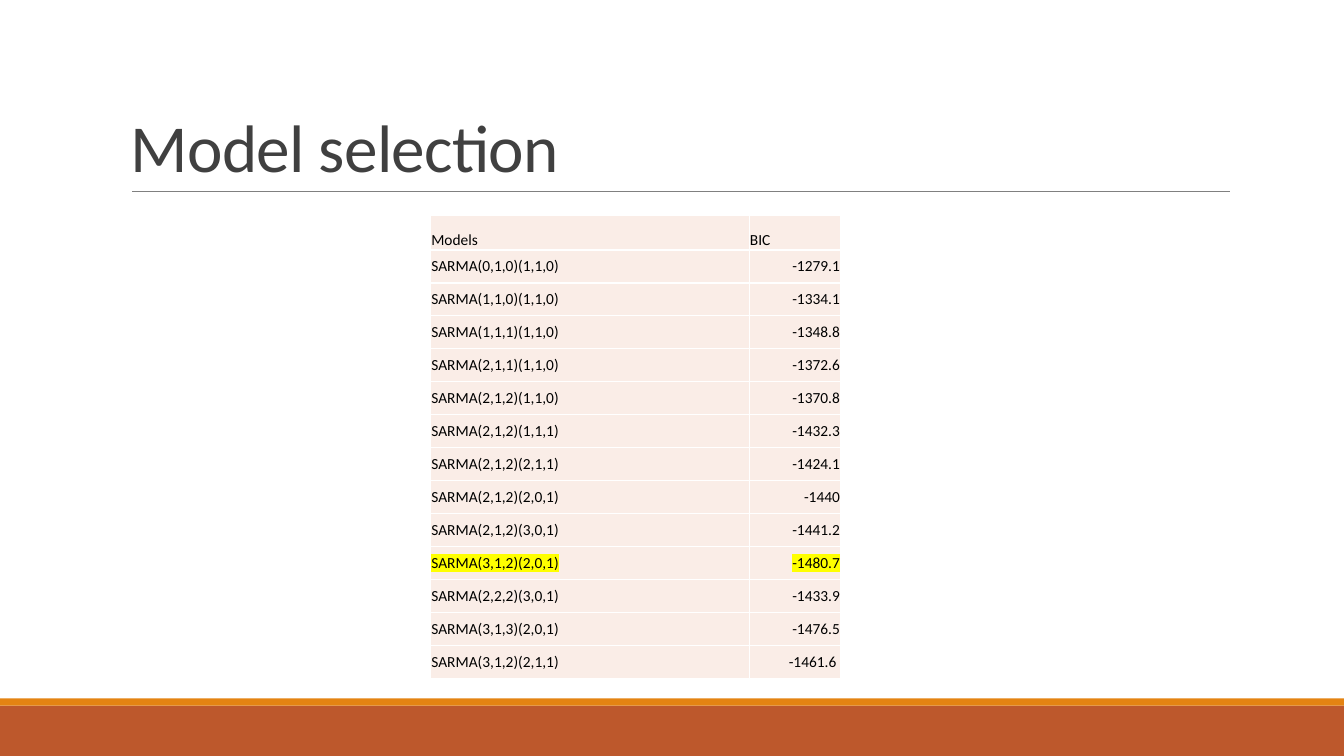
"""Build the model selection slide with its table of BIC values."""
from lxml import etree
from pptx import Presentation
from pptx.dml.color import RGBColor
from pptx.enum.shapes import MSO_CONNECTOR, MSO_SHAPE
from pptx.enum.text import MSO_ANCHOR, PP_ALIGN
from pptx.oxml import parse_xml
from pptx.oxml.ns import nsdecls, qn
from pptx.util import Cm, Pt

LEFT, RIGHT = PP_ALIGN.LEFT, PP_ALIGN.RIGHT
BOTTOM, MIDDLE = MSO_ANCHOR.BOTTOM, MSO_ANCHOR.MIDDLE
RECTANGLE, STRAIGHT = MSO_SHAPE.RECTANGLE, MSO_CONNECTOR.STRAIGHT


def rgb(value):
    return RGBColor.from_string(value)


def write(frame, text, size=11, color="000000", align=LEFT, anchor=MIDDLE,
          spacing=None, tracking=None, highlight=None):
    frame.word_wrap = True
    frame.vertical_anchor = anchor
    paragraph = frame.paragraphs[0]
    paragraph.alignment = align
    paragraph.line_spacing = spacing
    run = paragraph.add_run()
    run.text = text
    run.font.name = "Calibri"
    run.font.size = Pt(size)
    run.font.bold = False
    run.font.color.rgb = rgb(color)
    properties = run.font._element
    if tracking:
        properties.set("spc", str(tracking))
    if highlight:
        properties.find(qn("a:solidFill")).addnext(parse_xml(
            f'<a:highlight {nsdecls("a")}><a:srgbClr val="{highlight}"/></a:highlight>'))


models = [
    ("SARMA(0,1,0)(1,1,0)", "-1279.1"),
    ("SARMA(1,1,0)(1,1,0)", "-1334.1"),
    ("SARMA(1,1,1)(1,1,0)", "-1348.8"),
    ("SARMA(2,1,1)(1,1,0)", "-1372.6"),
    ("SARMA(2,1,2)(1,1,0)", "-1370.8"),
    ("SARMA(2,1,2)(1,1,1)", "-1432.3"),
    ("SARMA(2,1,2)(2,1,1)", "-1424.1"),
    ("SARMA(2,1,2)(2,0,1)", "-1440"),
    ("SARMA(2,1,2)(3,0,1)", "-1441.2"),
    ("SARMA(3,1,2)(2,0,1)", "-1480.7"),
    ("SARMA(2,2,2)(3,0,1)", "-1433.9"),
    ("SARMA(3,1,3)(2,0,1)", "-1476.5"),
    ("SARMA(3,1,2)(2,1,1)", "-1461.6 "),
]
best_model = "SARMA(3,1,2)(2,0,1)"

deck = Presentation()
deck.slide_width, deck.slide_height = Cm(33.87), Cm(19.05)
slide = deck.slides.add_slide(deck.slide_layouts[6])
shapes = slide.shapes

for top, height, color in [(17.78, 1.27, "BD582C"), (17.6, 0.18, "E48312")]:
    band = shapes.add_shape(RECTANGLE, 0, Cm(top), deck.slide_width, Cm(height))
    band.shadow.inherit = False
    band.fill.solid()
    band.fill.fore_color.rgb = rgb(color)
    band.line.fill.background()

rule = shapes.add_connector(STRAIGHT, Cm(3.33), Cm(4.82), Cm(31), Cm(4.82))
rule.line.color.rgb = rgb("808080")
rule.line.width = Pt(0.5)
etree.SubElement(rule._element.spPr, qn("a:effectLst"))

title = shapes.add_textbox(Cm(3.05), Cm(0.8), Cm(27.94), Cm(4.02))
write(title.text_frame, "Model selection", size=48, color="404040",
      anchor=BOTTOM, spacing=0.85, tracking=-50)

rows = [("Models", "BIC"), *models]
header_height, row_height = 0.88, 0.83
table = shapes.add_table(len(rows), 2, Cm(10.85), Cm(5.42), Cm(10.34),
                         Cm(header_height + row_height * len(models))).table
table.first_row = table.horz_banding = False
table.columns[0].width, table.columns[1].width = Cm(8.03), Cm(2.31)

for row, values in enumerate(rows):
    is_header = row == 0
    table.rows[row].height = Cm(header_height if is_header else row_height)
    for column, text in enumerate(values):
        cell = table.cell(row, column)
        cell.margin_left = cell.margin_right = Cm(0.02)
        cell.margin_top = Cm(0.02 if is_header else 0.17)
        cell.margin_bottom = Cm(0 if is_header else 0.17)
        cell.fill.solid()
        cell.fill.fore_color.rgb = rgb("FAEDE7")
        write(cell.text_frame, text,
              align=RIGHT if column and not is_header else LEFT,
              highlight="FFFF00" if values[0] == best_model else None)
        cell.vertical_anchor = BOTTOM if is_header else MIDDLE
        for position, side in enumerate(["lnL", "lnR", "lnT", "lnB"]):
            cell._tc.tcPr.insert(position, parse_xml(
                f'<a:{side} {nsdecls("a")} w="12700"><a:solidFill>'
                f'<a:srgbClr val="FFFFFF"/></a:solidFill></a:{side}>'))

deck.save("out.pptx")
